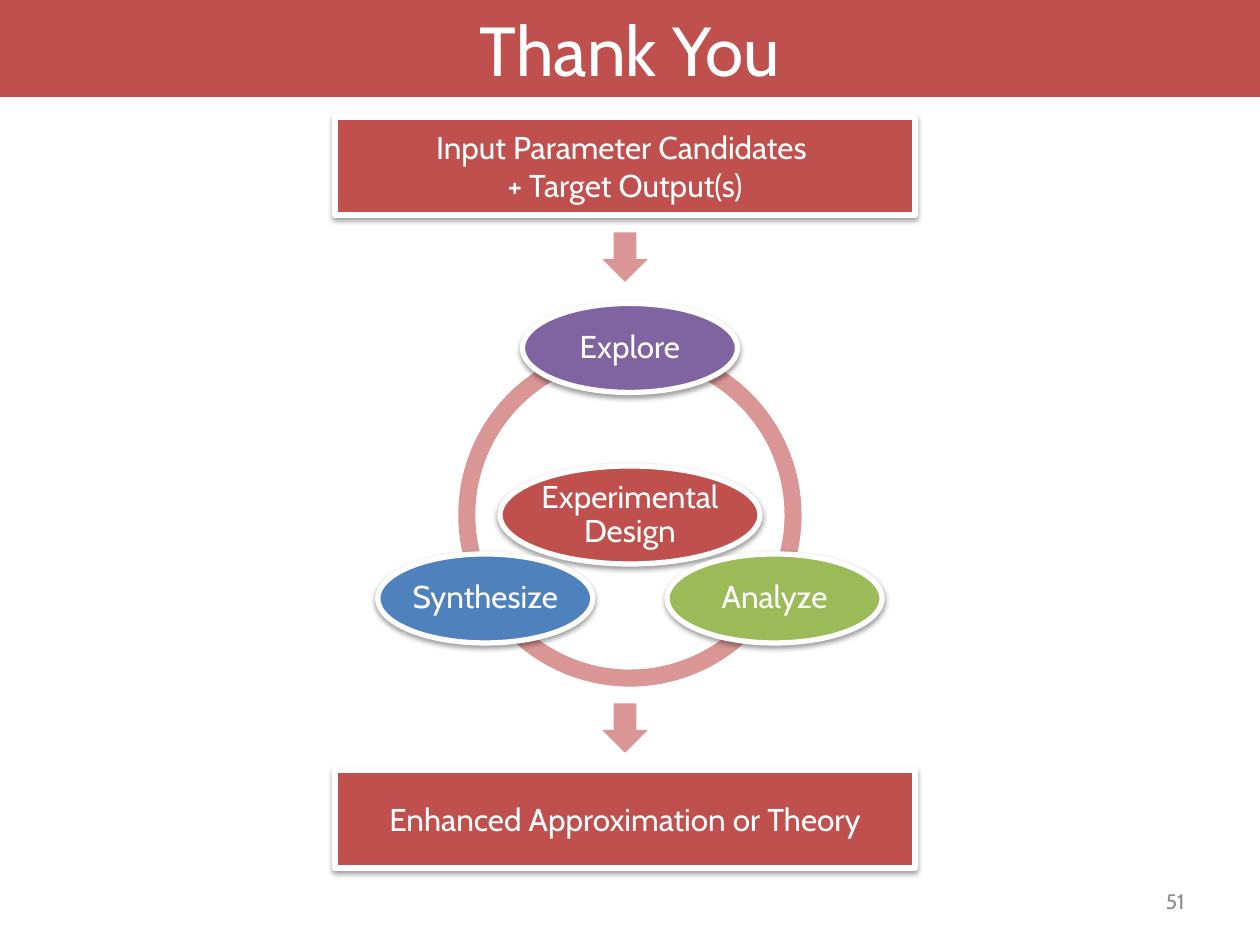
from math import cos, radians, sin

from lxml.etree import SubElement
from pptx import Presentation
from pptx.dml.color import RGBColor
from pptx.enum.shapes import MSO_SHAPE
from pptx.enum.text import MSO_ANCHOR, MSO_AUTO_SIZE, PP_ALIGN
from pptx.oxml.ns import qn
from pptx.util import Emu, Pt

PX_PER_INCH = 126
FONT = "Cabin"
RED, PINK, WHITE, GREY = "C0504D", "D99694", "FFFFFF", "8C8C8C"
PURPLE, GREEN, BLUE = "8064A2", "9BBB59", "4F81BD"

FLOW_X = 625
CYCLE_X, CYCLE_Y = 630, 515
RING_SIZE = 342
ORBIT = 167


def px(length):
    return Emu(round(length * 914400 / PX_PER_INCH))


def colour(hex_code):
    return RGBColor.from_string(hex_code)


def place(shape, left, top, width, height):
    shape.left, shape.top = px(left), px(top)
    shape.width, shape.height = px(width), px(height)


def write(shape, text, size, text_colour=WHITE, align=PP_ALIGN.CENTER, spacing=None):
    frame = shape.text_frame
    frame.text = text
    frame.word_wrap = True
    frame.auto_size = MSO_AUTO_SIZE.NONE
    frame.vertical_anchor = MSO_ANCHOR.MIDDLE
    for paragraph in frame.paragraphs:
        paragraph.alignment = align
        paragraph.line_spacing = spacing
        for run in paragraph.runs:
            run.font.name = FONT
            run.font.size = Pt(size)
            run.font.color.rgb = colour(text_colour)
    return frame


def add_filled(slide, preset, centre_x, centre_y, width, height, fill, line, line_width):
    shape = slide.shapes.add_shape(
        preset, px(centre_x - width / 2), px(centre_y - height / 2), px(width), px(height)
    )
    shape.shadow.inherit = False
    shape.fill.solid()
    shape.fill.fore_color.rgb = colour(fill)
    shape.line.color.rgb = colour(line)
    shape.line.width = Pt(line_width)
    return shape


def add_shadow(shape):
    effects = shape.element.spPr.find(qn("a:effectLst"))
    shadow = SubElement(
        effects, qn("a:outerShdw"), blurRad=str(Pt(3.1)), dist=str(Pt(1.6)),
        dir="5400000", rotWithShape="0",
    )
    black = SubElement(shadow, qn("a:srgbClr"), val="000000")
    SubElement(black, qn("a:alpha"), val="38000")


def add_box(slide, centre_y, text):
    box = add_filled(slide, MSO_SHAPE.RECTANGLE, FLOW_X, centre_y, 580, 98, RED, WHITE, 3)
    add_shadow(box)
    write(box, text, 18)


def add_bubble(slide, centre_x, centre_y, width, height, fill, text):
    bubble = add_filled(
        slide, MSO_SHAPE.OVAL, centre_x, centre_y, width, height, fill, WHITE, 3
    )
    add_shadow(bubble)
    frame = write(bubble, text, 18, spacing=0.9)
    frame.margin_left = frame.margin_right = 0
    frame.margin_top = frame.margin_bottom = 0


def add_down_arrow(slide, centre_y):
    add_filled(slide, MSO_SHAPE.DOWN_ARROW, FLOW_X, centre_y, 43, 48, PINK, PINK, 0.75)


def add_ring_arc(slide, start, end):
    arc = add_filled(
        slide, MSO_SHAPE.BLOCK_ARC, CYCLE_X, CYCLE_Y, RING_SIZE, RING_SIZE, PINK, PINK, 0.75
    )
    arc.adjustments[0] = start * 0.6
    arc.adjustments[1] = end * 0.6
    arc.adjustments[2] = 0.046


def add_cycle(slide):
    for start, end in [(90, 162), (18, 90), (162, 18)]:
        add_ring_arc(slide, start, end)
    add_bubble(slide, CYCLE_X, CYCLE_Y, 260, 98, RED, "Experimental Design")
    stages = [("Explore", PURPLE), ("Analyze", GREEN), ("Synthesize", BLUE)]
    for index, (stage, fill) in enumerate(stages):
        angle = radians(-90 + index * 360 / len(stages))
        stage_x = CYCLE_X + ORBIT * cos(angle)
        stage_y = CYCLE_Y + ORBIT * sin(angle)
        add_bubble(slide, stage_x, stage_y, 215, 89, fill, stage)


def add_title(slide, text):
    title = slide.shapes.title
    place(title, 0, 0, 1260, 97)
    title.fill.solid()
    title.fill.fore_color.rgb = colour(RED)
    write(title, text, 39.6)


def add_page_number(slide, number):
    page_number = slide.shapes.add_textbox(px(903), px(876), px(294), px(50))
    write(page_number, number, 12, GREY, PP_ALIGN.RIGHT)


def main():
    presentation = Presentation()
    presentation.slide_width, presentation.slide_height = px(1260), px(945)
    slide = presentation.slides.add_slide(presentation.slide_layouts[5])
    add_title(slide, "Thank You")
    add_page_number(slide, "51")
    add_cycle(slide)
    add_box(slide, 166, "Input Parameter Candidates \n+ Target Output(s)")
    add_box(slide, 819, "Enhanced Approximation or Theory")
    for centre_y in (257, 728):
        add_down_arrow(slide, centre_y)
    presentation.save("out.pptx")


if __name__ == "__main__":
    main()
